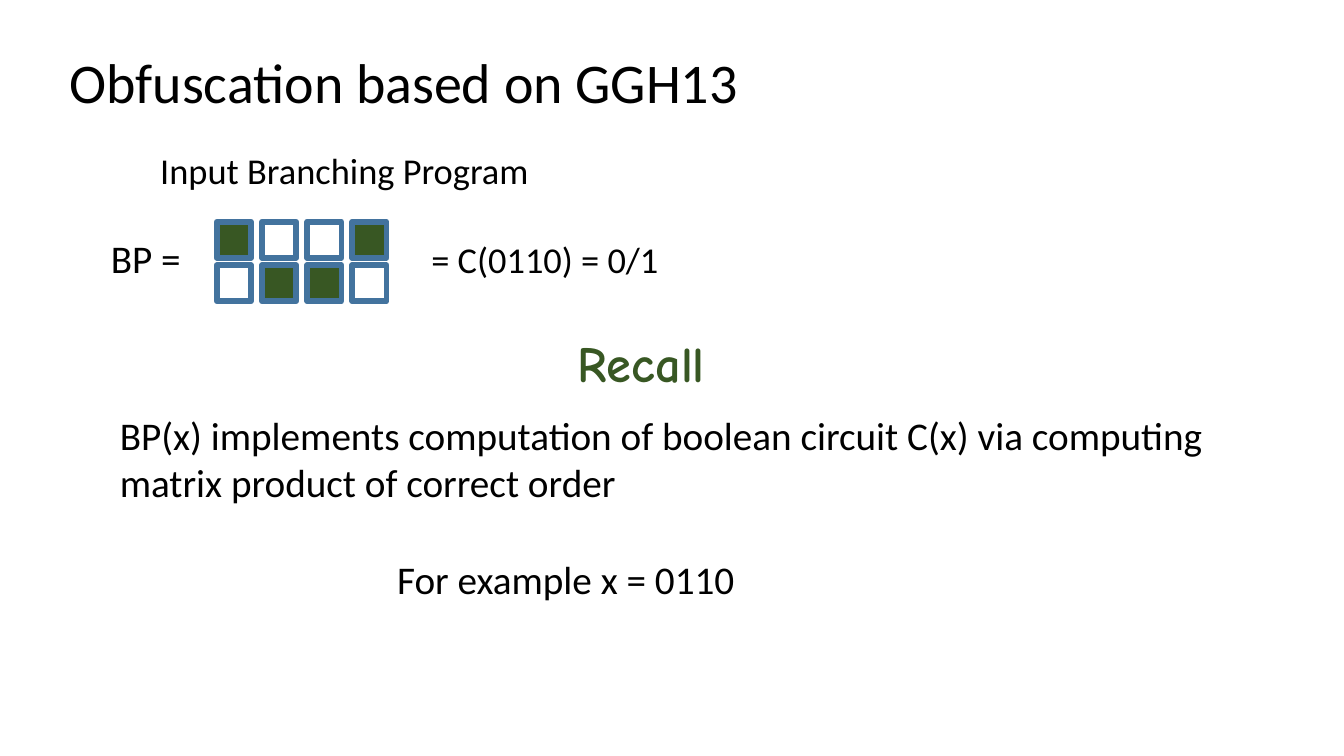
from pptx import Presentation
from pptx.dml.color import RGBColor
from pptx.enum.shapes import MSO_SHAPE as Shape
from pptx.enum.text import MSO_ANCHOR as Anchor, MSO_AUTO_SIZE as AutoSize, PP_ALIGN as Align
from pptx.util import Inches, Pt

BLACK = RGBColor(0x00, 0x00, 0x00)
GREEN = RGBColor(0x38, 0x57, 0x23)
BLUE = RGBColor(0x43, 0x73, 0x9E)

# Content: text, (left, top, width, height) in inches, format
TITLE = ("Obfuscation based on GGH13", (0.59, 0.42, 6.84, 0.77), {"size": 40})
LABELS = [
    ("Input Branching Program", (1.49, 1.42, 3.98, 0.54), {"size": 26}),
    ("BP =", (1, 2.28, 0.99, 0.57), {}),
    ("= C(0110) = 0/1", (4.18, 2.3, 3.15, 0.54), {"size": 26, "wrap": True}),
    ("Recall", (5.63, 3.25, 1.58, 0.71),
     {"size": 36, "font": "Comic Neue", "color": GREEN, "bold": True}),
    ("BP(x) implements computation of boolean circuit C(x) via computing "
     "matrix product of correct order", (1.09, 4.03, 11.54, 1.04), {"wrap": True}),
    ("For example x = 0110", (3.84, 5.46, 3.59, 0.57), {}),
]
INPUT_BITS = "0110"

# Grid of matrices: one column per input bit, one row per bit value
GRID_LEFT, GRID_TOP = 2.15, 2.2
COLUMN_STEP, ROW_STEP = 0.448, 0.43
CELL_WIDTH, CELL_HEIGHT = 0.34, 0.36


def place(shape, box):
    shape.left, shape.top, shape.width, shape.height = map(Inches, box)


def write_text(shape, text, size=28, font="Calibri", color=BLACK, bold=False, wrap=False):
    frame = shape.text_frame
    frame.text = text
    frame.word_wrap = wrap
    frame.auto_size = AutoSize.NONE
    frame.vertical_anchor = Anchor.TOP
    paragraph = frame.paragraphs[0]
    paragraph.alignment = Align.LEFT
    paragraph.font.size = Pt(size)
    paragraph.font.name = font
    paragraph.font.bold = bold
    paragraph.font.color.rgb = color


def add_matrix(shapes, row, column, selected):
    cell = shapes.add_shape(
        Shape.RECTANGLE,
        Inches(GRID_LEFT + column * COLUMN_STEP), Inches(GRID_TOP + row * ROW_STEP),
        Inches(CELL_WIDTH), Inches(CELL_HEIGHT))
    cell.shadow.inherit = False
    cell.line.color.rgb = BLUE
    cell.line.width = Pt(4)
    if selected:
        cell.fill.solid()
        cell.fill.fore_color.rgb = GREEN
    else:
        cell.fill.background()


def main():
    presentation = Presentation()
    presentation.slide_width, presentation.slide_height = Inches(13.33), Inches(7.5)
    slide = presentation.slides.add_slide(presentation.slide_layouts.get_by_name("Title Only"))

    # Title
    text, box, style = TITLE
    place(slide.shapes.title, box)
    write_text(slide.shapes.title, text, **style)

    # Branching program: the input bit selects a matrix in each column
    for row in range(2):
        for column, bit in enumerate(INPUT_BITS):
            add_matrix(slide.shapes, row, column, selected=int(bit) == row)

    # Labels
    for text, box, style in LABELS:
        label = slide.shapes.add_textbox(*map(Inches, box))
        write_text(label, text, **style)

    presentation.save("out.pptx")


if __name__ == "__main__":
    main()
